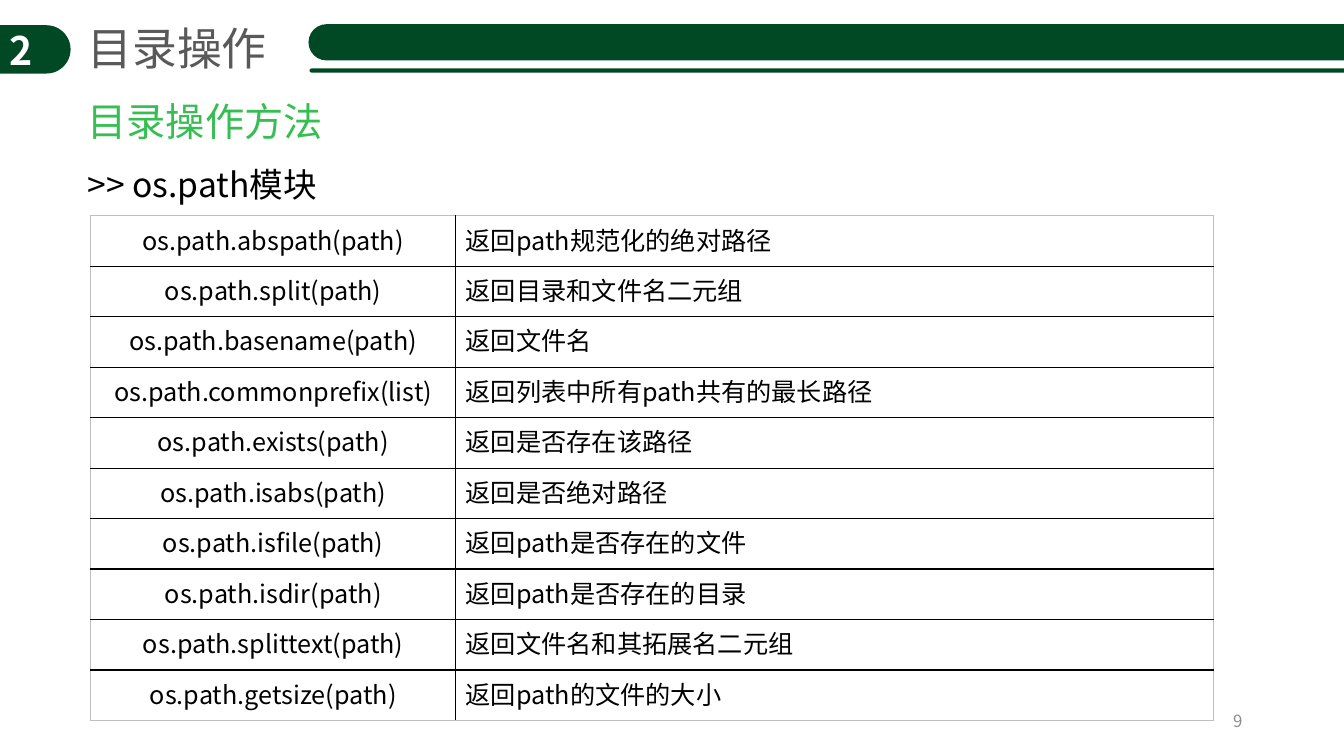
from lxml.etree import SubElement
from pptx import Presentation
from pptx.dml.color import RGBColor
from pptx.enum.shapes import MSO_SHAPE as Form
from pptx.enum.text import MSO_ANCHOR as Anchor, MSO_AUTO_SIZE as Fit, PP_ALIGN as Align
from pptx.oxml import parse_xml
from pptx.oxml.ns import nsdecls, qn
from pptx.util import Inches, Pt

GREEN = RGBColor(0x01, 0x49, 0x24)
LIME = RGBColor(0x36, 0xBE, 0x52)
WHITE = RGBColor(0xFF, 0xFF, 0xFF)
BLACK = RGBColor(0x00, 0x00, 0x00)
DARK = RGBColor(0x59, 0x59, 0x59)
GREY = RGBColor(0x8C, 0x8C, 0x8C)
PALE = RGBColor(0xBF, 0xBF, 0xBF)
FACE = "Noto Sans CJK SC"

deck = Presentation()
deck.slide_width, deck.slide_height = Inches(13.33), Inches(7.5)
col, row = deck.slide_width / 133.3, deck.slide_height / 75
slide = deck.slides.add_slide(deck.slide_layouts[6])
shapes = slide.shapes


def grid(x, y, w, h):
    return int(x * col), int(y * row), int(w * col), int(h * row)


def write(para, text, size, color, align=Align.LEFT, bold=False):
    para.alignment = align
    run = para.add_run()
    run.text = text
    look = {"name": FACE, "size": Pt(size), "bold": bold}
    for key, value in look.items():
        setattr(run.font, key, value)
    run.font.color.rgb = color
    SubElement(run.font._element, qn("a:ea"), typeface=FACE)


bars = []
for box in [(-2.8, 2.5, 9.8, 4.8), (30.6, 2.4, 108, 3.6), (30.7, 6.8, 108, 0.4)]:
    bar = shapes.add_shape(Form.ROUNDED_RECTANGLE, *grid(*box))
    bar.adjustments[0] = 0.5
    bar.shadow.inherit = False
    bar.fill.solid()
    bar.fill.fore_color.rgb = GREEN
    bar.line.fill.background()
    bars.append(bar)

badge = bars[0].text_frame
badge.vertical_anchor = Anchor.MIDDLE
write(badge.paragraphs[0], "2", 28, WHITE, Align.CENTER, True)

title = shapes.add_textbox(*grid(7.7, 1.6, 20, 6.4)).text_frame
head = shapes.add_textbox(*grid(7.7, 6.8, 27.5, 20.4)).text_frame
for frame in (title, head):
    frame.word_wrap = False
    frame.auto_size = Fit.SHAPE_TO_FIT_TEXT
write(title.paragraphs[0], "目录操作", 32, DARK)
write(head.paragraphs[0], "目录操作方法", 28, LIME)
write(head.add_paragraph(), ">> os.path模块", 24, BLACK)
for para in head.paragraphs:
    para.line_spacing = 1.5

page = shapes.add_textbox(*grid(94.2, 69.5, 30, 4)).text_frame
page.word_wrap = True
page.vertical_anchor = Anchor.MIDDLE
write(page.paragraphs[0], "9", 12, GREY, Align.RIGHT)

calls = [
    ("abspath(path)", "返回path规范化的绝对路径"),
    ("split(path)", "返回目录和文件名二元组"),
    ("basename(path)", "返回文件名"),
    ("commonprefix(list)", "返回列表中所有path共有的最长路径"),
    ("exists(path)", "返回是否存在该路径"),
    ("isabs(path)", "返回是否绝对路径"),
    ("isfile(path)", "返回path是否存在的文件"),
    ("isdir(path)", "返回path是否存在的目录"),
    ("splittext(path)", "返回文件名和其拓展名二元组"),
    ("getsize(path)", "返回path的文件的大小"),
]
last = len(calls) - 1
table = shapes.add_table(len(calls), 2, *grid(9, 21.4, 111.4, 50.1)).table
table.first_row = table.horz_banding = False
for i, width in enumerate((36.2, 75.2)):
    table.columns[i].width = int(width * col)

for r, (call, note) in enumerate(calls):
    texts = [("os.path." + call, Align.CENTER), (note, Align.LEFT)]
    for c, (text, align) in enumerate(texts):
        cell = table.cell(r, c)
        cell.fill.background()
        write(cell.text_frame.paragraphs[0], text, 18, BLACK, align)
        edges = {"lnL": c == 0, "lnR": c == 1, "lnT": r == 0, "lnB": r == last}
        for i, (edge, outer) in enumerate(edges.items()):
            line = parse_xml(
                f'<a:{edge} {nsdecls("a")} w="{Pt(1)}"><a:solidFill>'
                f'<a:srgbClr val="{PALE if outer else BLACK}"/>'
                f'</a:solidFill></a:{edge}>')
            cell._tc.get_or_add_tcPr().insert(i, line)

deck.save("out.pptx")
